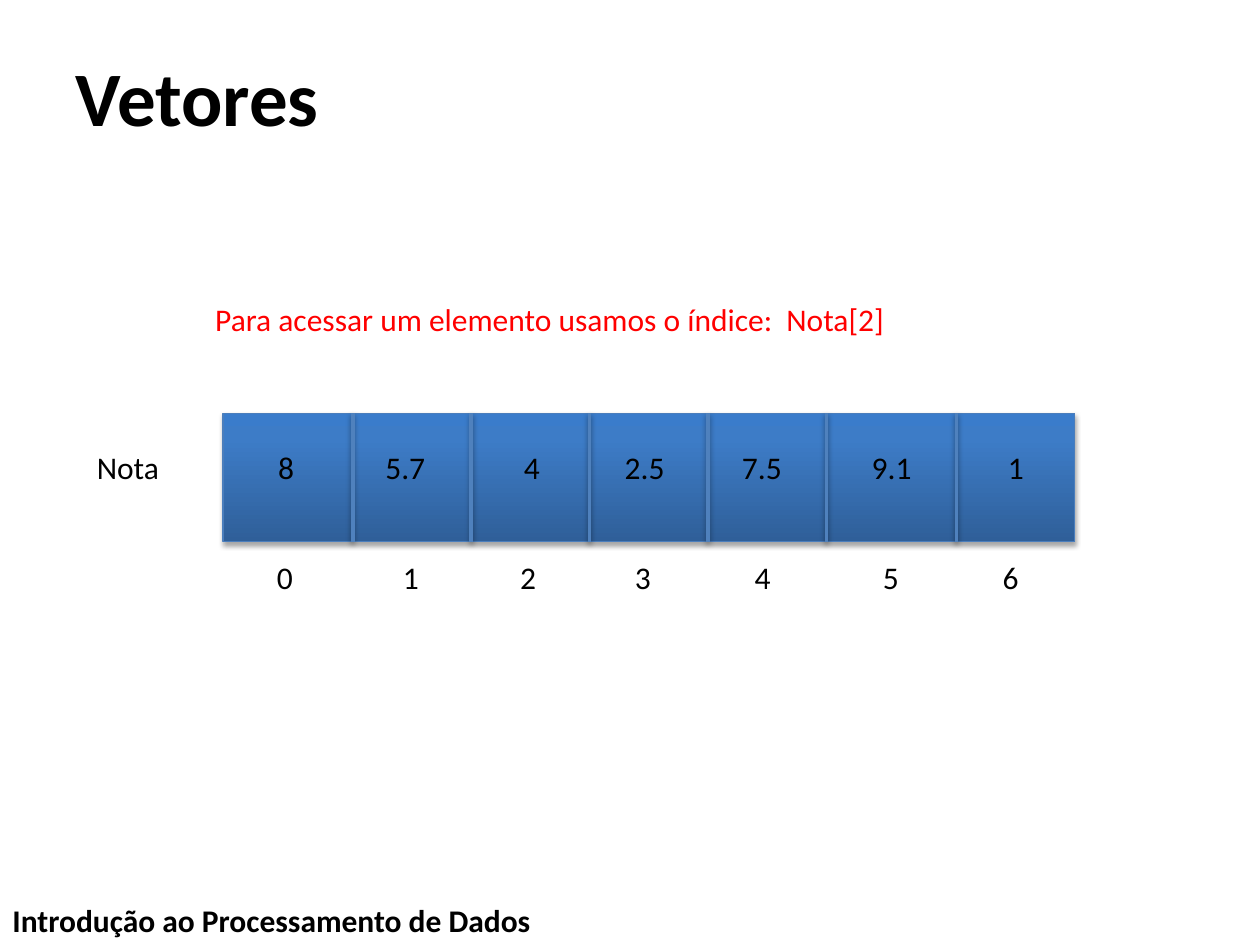
"""Builds the slide on reading one element of an array by its index."""
from copy import deepcopy
from itertools import accumulate

from lxml import etree
from pptx import Presentation, util as u
from pptx.dml.color import RGBColor
from pptx.enum import shapes, text
from pptx.oxml import ns

COLORS = {"ink": "000000", "accent": "FF0000", "border": "4B7EBC", "divider": "4F81BD",
          "deep": "2F5F99", "mid": "3D7CC7", "light": "3A7CCB"}

deck = Presentation()
deck.slide_width, deck.slide_height = u.Inches(10), u.Inches(7.5)
slide = deck.slides.add_slide(deck.slide_layouts[6])


def write(words, left, top, width, height=0.5, size=18, bold=False, color="ink", inset=0.05):
    label = slide.shapes.add_textbox(*map(u.Inches, (left, top, width, height)))
    frame = label.text_frame
    frame.text = words
    for name, value in {"word_wrap": True, "vertical_anchor": text.MSO_ANCHOR.TOP,
                        "margin_top": u.Inches(inset)}.items():
        setattr(frame, name, value)
    font = frame.paragraphs[0].runs[0].font
    for name, value in {"name": "Calibri", "size": u.Pt(size), "bold": bold}.items():
        setattr(font, name, value)
    font.color.rgb = RGBColor.from_string(COLORS[color])


def outline_and_shadow(part, color, weight, distance, opacity):
    part.line.color.rgb = RGBColor.from_string(COLORS[color])
    part.line.width = u.Pt(weight)
    effects = etree.SubElement(part._element.spPr, ns.qn("a:effectLst"))
    shadow = etree.SubElement(effects, ns.qn("a:outerShdw"), blurRad=str(u.Pt(3.1)),
                              dist=str(u.Pt(distance)), dir="5400000", rotWithShape="0")
    black = etree.SubElement(shadow, ns.qn("a:srgbClr"), val=COLORS["ink"])
    etree.SubElement(black, ns.qn("a:alpha"), val=str(opacity * 1000))


write("Introdução ao Processamento de Dados", 0, 7.1, 6.31, 0.4, bold=True)
write("Vetores", 0.5, 0.3, 9, 1.25, size=44, bold=True, inset=0.09)

array_top, array_height = 3.28, 1.02
wide, narrow = 1.03, 0.94
cell_widths = [wide, narrow, narrow, narrow, narrow, wide, narrow]
cell_edges = list(accumulate(cell_widths, initial=1.77))

array = slide.shapes.add_shape(
    shapes.MSO_SHAPE.RECTANGLE,
    *map(u.Inches, (cell_edges[0], array_top, sum(cell_widths), array_height)))
array.fill.gradient()
array.fill.gradient_angle = 90
first_stop = array.fill._xPr.find(ns.qn("a:gradFill")).find(ns.qn("a:gsLst"))[0]
first_stop.addnext(deepcopy(first_stop))
for stop, (position, shade) in zip(array.fill.gradient_stops,
                                   [(0, "deep"), (0.8, "mid"), (1, "light")]):
    stop.position = position
    stop.color.rgb = RGBColor.from_string(COLORS[shade])
outline_and_shadow(array, "border", 0.75, 1.8, 35)

for edge in cell_edges[1:-1]:
    divider = slide.shapes.add_connector(
        shapes.MSO_CONNECTOR.STRAIGHT,
        *map(u.Inches, (edge, array_top, edge, array_top + array_height)))
    outline_and_shadow(divider, "divider", 2, 1.6, 38)

value_row, index_row = 3.51, 4.38
write("Nota", 0.67, value_row, 0.88)
grades = ["8", "5.7", "4", "2.5", "7.5", "9.1", "1"]
grade_lefts = [2.11, 2.96, 4.06, 4.86, 5.79, 6.82, 7.9]
index_lefts = [2.1, 3.1, 4.03, 4.94, 5.89, 6.91, 7.86]
for index, (grade, grade_left, index_left) in enumerate(zip(grades, grade_lefts, index_lefts)):
    write(grade, grade_left, value_row, 0.62 if "." in grade else 0.37)
    write(str(index), index_left, index_row, 0.37)

write("Para acessar um elemento usamos o índice:  Nota[2]", 1.61, 2.33, 7.25, color="accent")

deck.save("out.pptx")
